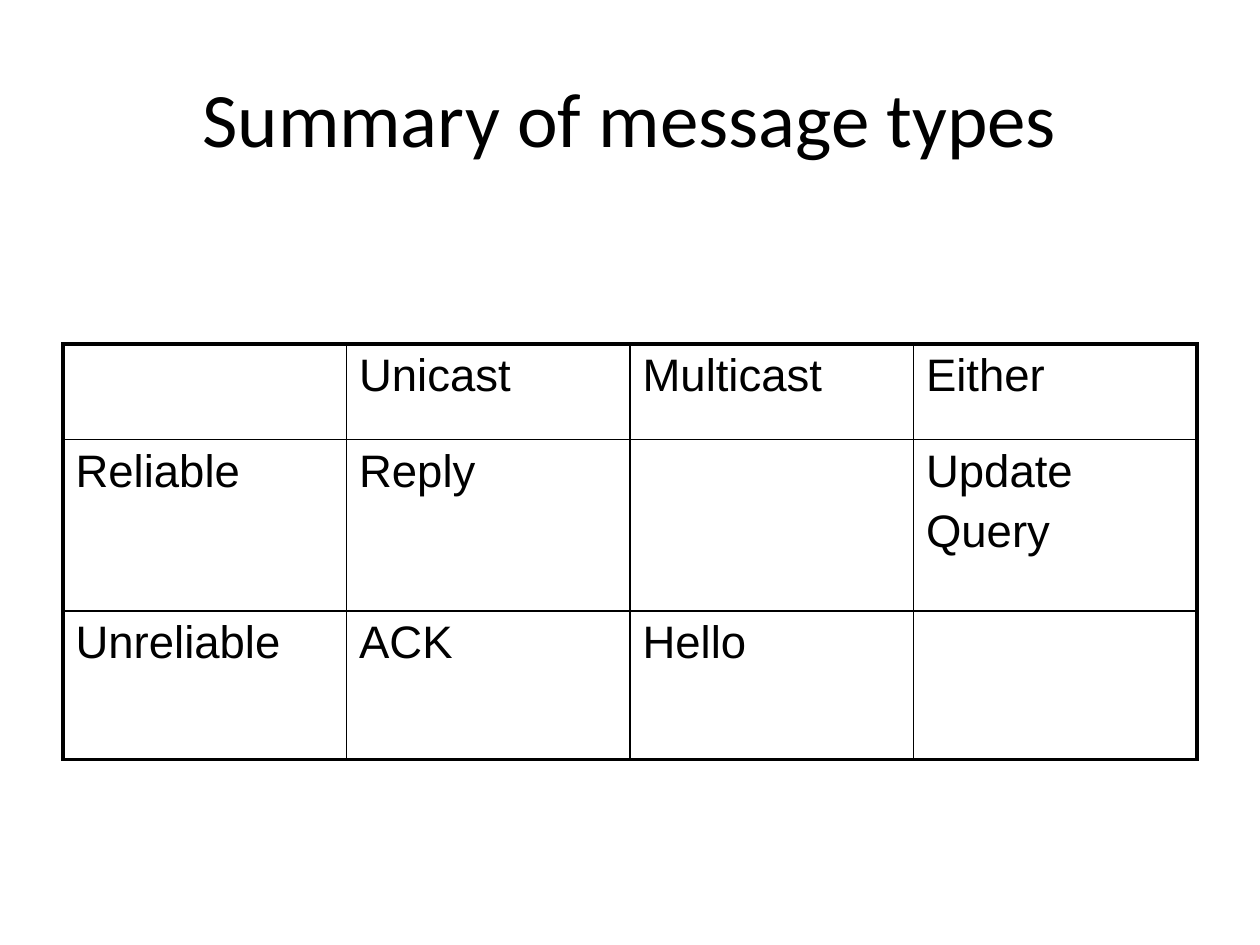
from dataclasses import dataclass

from lxml import etree
from pptx import Presentation
from pptx import util as u
from pptx.dml.color import RGBColor
from pptx.enum import text
from pptx.oxml.ns import qn

BLACK = "000000"
THIN, THICK = 1, 2.25


@dataclass
class Row:
    height: float
    cells: tuple[str, ...]


ROWS = [
    Row(0.76, ("", "Unicast", "Multicast", "Either")),
    Row(1.36, ("Reliable", "Reply", "", "Update\nQuery")),
    Row(1.18, ("Unreliable", "ACK", "Hello", "")),
]
COL_WIDTH = 2.25
COLS = len(ROWS[0].cells)


def rgb(color: str) -> RGBColor:
    return RGBColor.from_string(color)


def add_run(p, content: str, font: str, size: float) -> None:
    r = p.add_run()
    r.text = content
    r.font.name = font
    r.font.size = u.Pt(size)
    r.font.color.rgb = rgb(BLACK)


def set_borders(cell, widths: dict[str, float]) -> None:
    tc_pr = cell._tc.get_or_add_tcPr()
    for i, (side, width) in enumerate(widths.items()):
        ln = etree.Element(qn(f"a:ln{side}"), w=str(u.Pt(width)))
        fill = etree.SubElement(ln, qn("a:solidFill"))
        etree.SubElement(fill, qn("a:srgbClr"), val=BLACK)
        tc_pr.insert(i, ln)


def fill_cell(cell, content: str) -> None:
    cell.fill.background()
    tf = cell.text_frame
    for i, line in enumerate(content.split("\n") if content else []):
        p = tf.add_paragraph() if i else tf.paragraphs[0]
        if i:
            p.space_before = u.Pt(5.2)
        add_run(p, line, "Arial", 26)


def add_title(s, content: str) -> None:
    sp = s.shapes.title
    sp.left, sp.top = u.Inches(0.5), u.Inches(0.3)
    sp.width, sp.height = u.Inches(9), u.Inches(1.25)
    tf = sp.text_frame
    tf.vertical_anchor = text.MSO_ANCHOR.MIDDLE
    p = tf.paragraphs[0]
    p.alignment = text.PP_ALIGN.CENTER
    add_run(p, content, "Calibri", 44)


def add_message_table(s) -> None:
    height = sum(row.height for row in ROWS)
    table = s.shapes.add_table(
        len(ROWS), COLS, u.Inches(0.5), u.Inches(2.73),
        u.Inches(COL_WIDTH * COLS), u.Inches(height),
    ).table
    table.first_row = table.horz_banding = False
    for column in table.columns:
        column.width = u.Inches(COL_WIDTH)
    for i, row in enumerate(ROWS):
        table.rows[i].height = u.Inches(row.height)
        for j, content in enumerate(row.cells):
            cell = table.cell(i, j)
            fill_cell(cell, content)
            outer = {"L": j == 0, "R": j == COLS - 1,
                     "T": i == 0, "B": i == len(ROWS) - 1}
            set_borders(cell, {side: THICK if edge else THIN
                               for side, edge in outer.items()})


prs = Presentation()
prs.slide_width, prs.slide_height = u.Inches(10), u.Inches(7.5)
s = prs.slides.add_slide(prs.slide_layouts[5])
add_title(s, "Summary of message types")
add_message_table(s)
prs.save("out.pptx")
